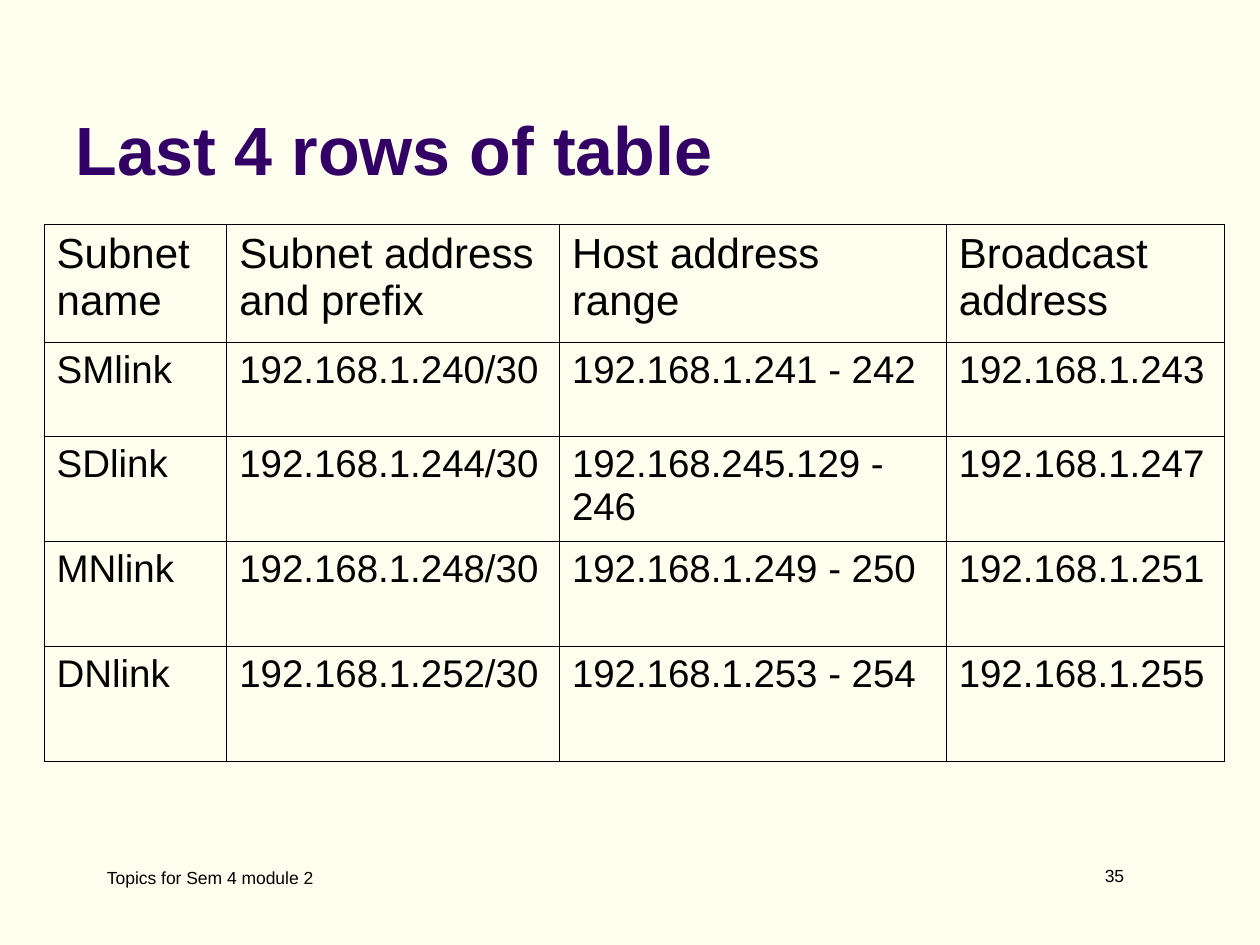
from lxml import etree
from pptx import Presentation
from pptx.dml.color import RGBColor
from pptx.enum.text import MSO_ANCHOR, MSO_AUTO_SIZE, PP_ALIGN
from pptx.oxml.ns import qn
from pptx.util import Inches, Pt

CREAM = RGBColor(0xFF, 0xFF, 0xEF)
PURPLE = RGBColor(0x33, 0x00, 0x66)
BLACK = RGBColor(0x00, 0x00, 0x00)
BORDER_WIDTH = Pt(0.45)

COLUMN_WIDTHS = [1.45, 2.64, 3.07, 2.21]
ROW_HEIGHTS = [0.94, 0.74, 0.84, 0.83, 0.91]
ROWS = [
    ["Subnet name", "Subnet address and prefix", "Host address range", "Broadcast address"],
    ["SMlink", "192.168.1.240/30", "192.168.1.241 - 242", "192.168.1.243"],
    ["SDlink", "192.168.1.244/30", "192.168.245.129 - 246", "192.168.1.247"],
    ["MNlink", "192.168.1.248/30", "192.168.1.249 - 250", "192.168.1.251"],
    ["DNlink", "192.168.1.252/30", "192.168.1.253 - 254", "192.168.1.255"],
]


def write_text(text_frame, text, size, color=BLACK, bold=False, align=PP_ALIGN.LEFT):
    text_frame.text = text
    text_frame.word_wrap = True
    paragraph = text_frame.paragraphs[0]
    paragraph.alignment = align
    font = paragraph.font
    font.name = "Arial"
    font.size = Pt(size)
    font.bold = bold
    font.color.rgb = color


def add_borders(cell):
    properties = cell._tc.get_or_add_tcPr()
    for side in ("a:lnL", "a:lnR", "a:lnT", "a:lnB"):
        line = etree.SubElement(properties, qn(side), w=str(BORDER_WIDTH))
        fill = etree.SubElement(line, qn("a:solidFill"))
        etree.SubElement(fill, qn("a:srgbClr"), val=str(BLACK))


presentation = Presentation()
presentation.slide_width = Inches(10)
presentation.slide_height = Inches(7.5)
slide = presentation.slides.add_slide(presentation.slide_layouts[5])
slide.background.fill.solid()
slide.background.fill.fore_color.rgb = CREAM

# Title
title = slide.shapes.title
title.left, title.top = Inches(0.5), Inches(0.13)
title.width, title.height = Inches(8.25), Inches(1.42)
title.text_frame.vertical_anchor = MSO_ANCHOR.BOTTOM
title.text_frame.auto_size = MSO_AUTO_SIZE.NONE
write_text(title.text_frame, "Last 4 rows of table", 39, PURPLE, bold=True)

# Subnet table
table = slide.shapes.add_table(
    len(ROWS), len(COLUMN_WIDTHS), Inches(0.35), Inches(1.78),
    Inches(sum(COLUMN_WIDTHS)), Inches(sum(ROW_HEIGHTS))).table
table.first_row = False
table.horz_banding = False
for column, width in zip(table.columns, COLUMN_WIDTHS):
    column.width = Inches(width)
for row, height, texts in zip(table.rows, ROW_HEIGHTS, ROWS):
    row.height = Inches(height)
    size = 24 if texts is ROWS[0] else 22
    for cell, text in zip(row.cells, texts):
        write_text(cell.text_frame, text, size)
        add_borders(cell)
        cell.fill.background()

# Footer and slide number
for text, left, top, width, height, align in [
    ("Topics for Sem 4 module 2", 0.75, 6.83, 2.08, 0.5, PP_ALIGN.LEFT),
    ("35", 6.97, 6.82, 2.05, 0.27, PP_ALIGN.RIGHT),
]:
    box = slide.shapes.add_textbox(Inches(left), Inches(top), Inches(width), Inches(height))
    write_text(box.text_frame, text, 10, align=align)

presentation.save("out.pptx")
